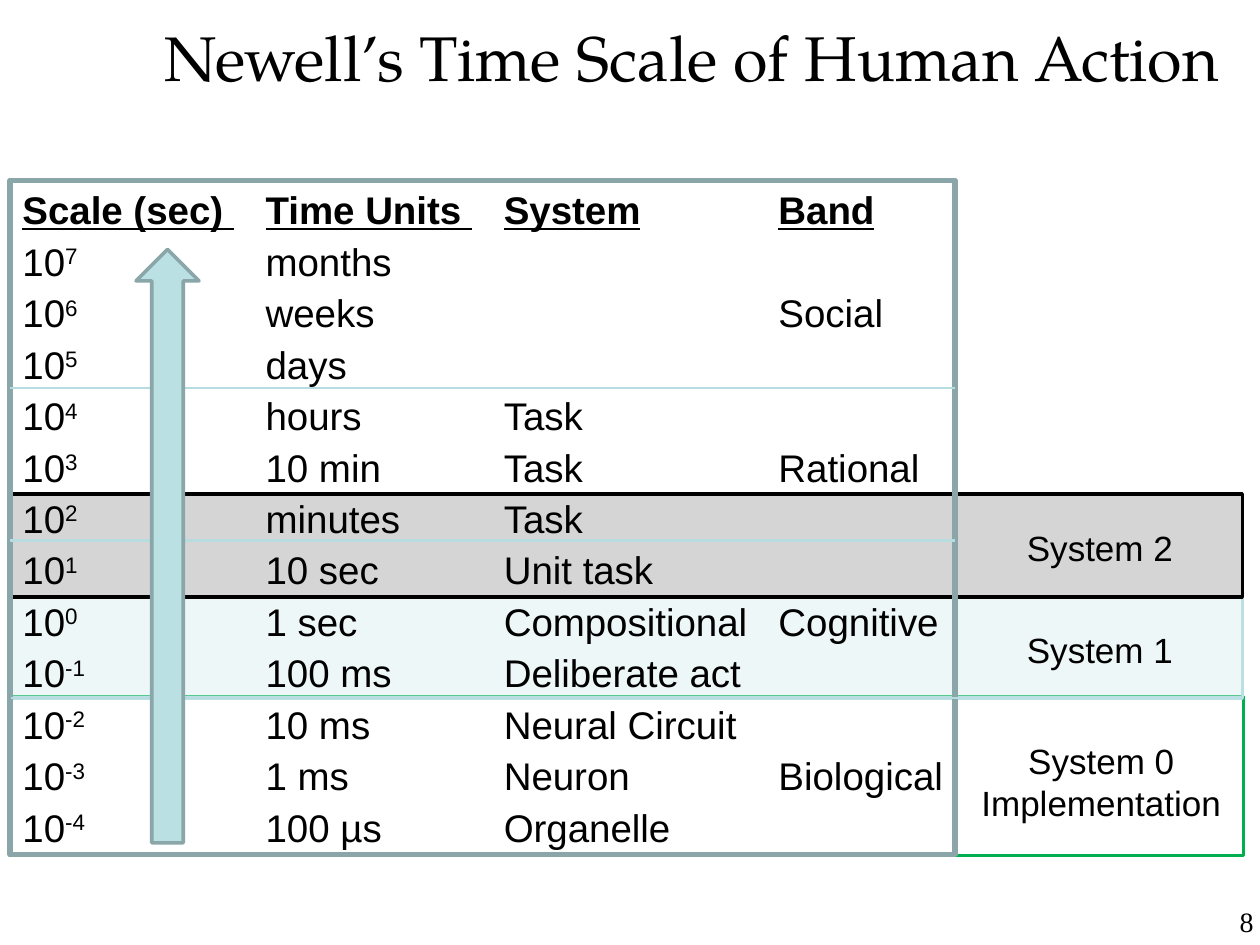
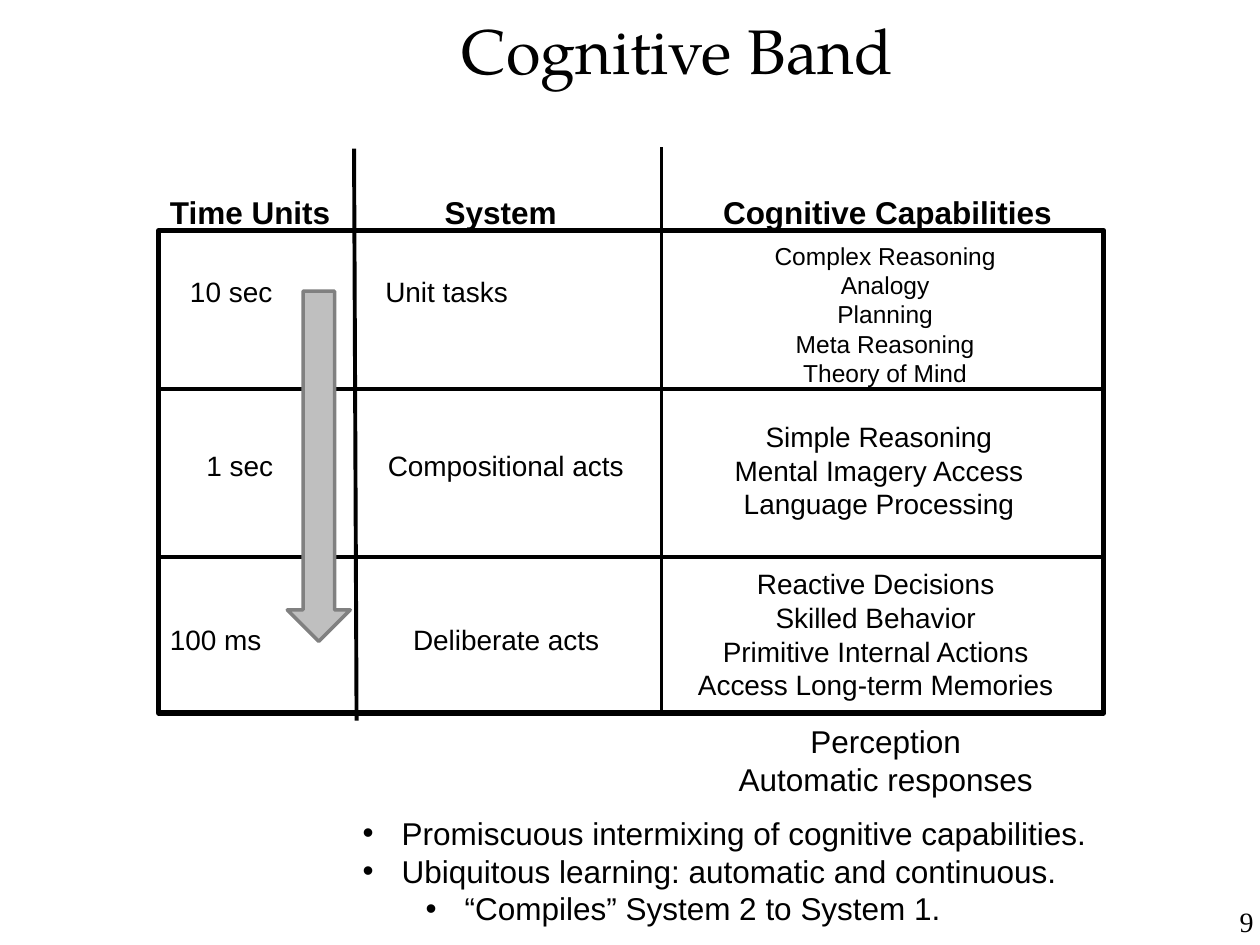
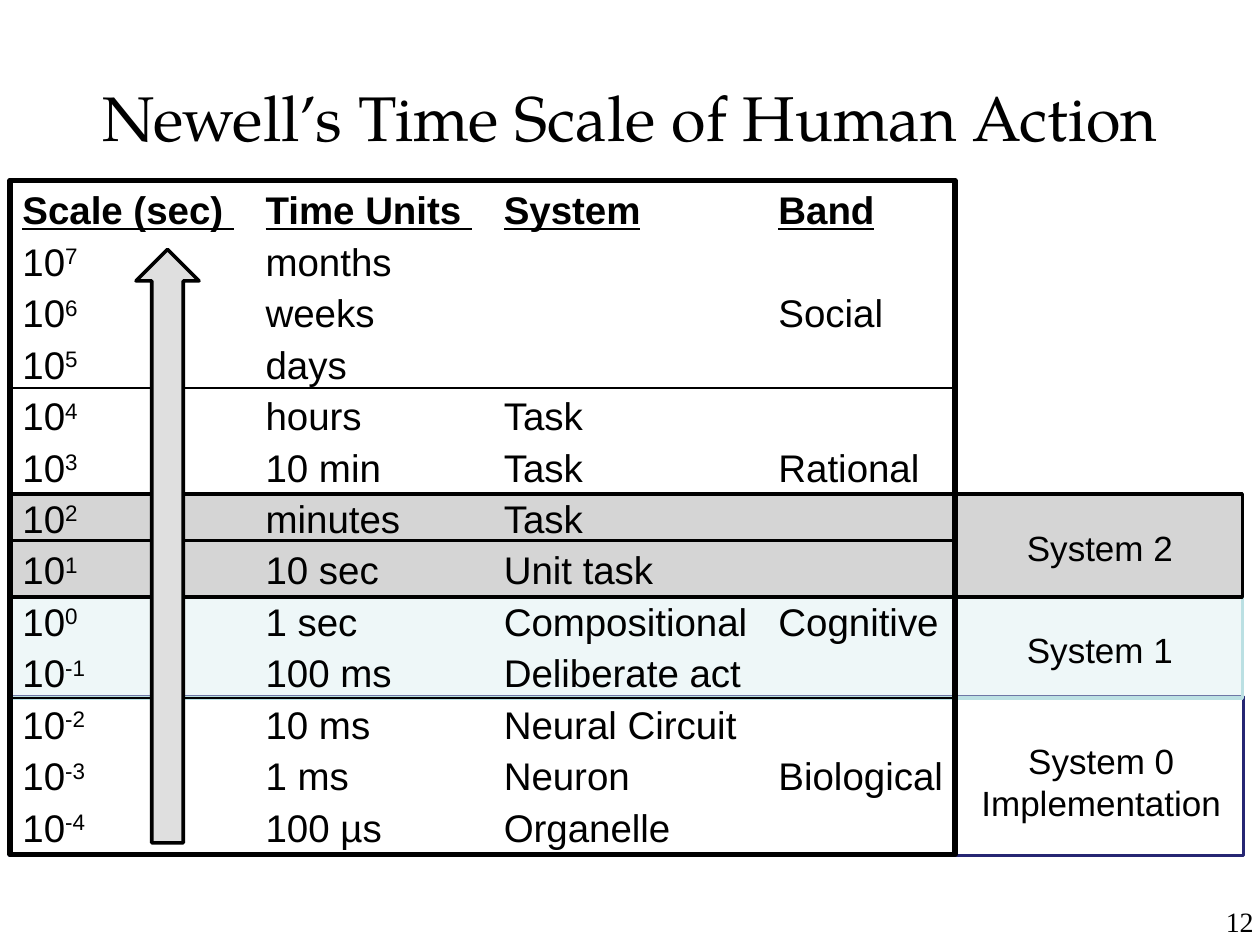
from dataclasses import dataclass
from typing import NamedTuple, Sequence

from lxml import etree
from pptx import Presentation
from pptx.dml.color import RGBColor
from pptx.enum.shapes import MSO_CONNECTOR, MSO_SHAPE
from pptx.enum.text import MSO_ANCHOR, PP_ALIGN
from pptx.oxml.ns import qn
from pptx.util import Inches, Length, Pt

RECTANGLE = MSO_SHAPE.RECTANGLE
UP_ARROW = MSO_SHAPE.UP_ARROW
STRAIGHT = MSO_CONNECTOR.STRAIGHT
LEFT, CENTER, RIGHT = PP_ALIGN.LEFT, PP_ALIGN.CENTER, PP_ALIGN.RIGHT
TOP, MIDDLE = MSO_ANCHOR.TOP, MSO_ANCHOR.MIDDLE

BLACK = RGBColor(0x00, 0x00, 0x00)
WHITE = RGBColor(0xFF, 0xFF, 0xFF)
GRAY = RGBColor(0x99, 0x99, 0x99)
SILVER = RGBColor(0xBF, 0xBF, 0xBF)
DARK_GRAY = RGBColor(0x80, 0x80, 0x80)
PALE_GRAY = RGBColor(0xDF, 0xDF, 0xDF)
AQUA = RGBColor(0xBB, 0xE0, 0xE3)
PALE_AQUA = RGBColor(0xD6, 0xEC, 0xEE)
RULE_AQUA = RGBColor(0xB6, 0xDC, 0xDF)
SLATE = RGBColor(0x8A, 0xA6, 0xA8)
GREEN = RGBColor(0x00, 0xB0, 0x50)
NAVY = RGBColor(0x26, 0x26, 0x73)

# The slide is a grid of 100 columns and 75 rows of equal size.
SLIDE_WIDTH, SLIDE_HEIGHT = Inches(10), Inches(7.5)
COLUMN, ROW = SLIDE_WIDTH / 100, SLIDE_HEIGHT / 75
BAND_OPACITY = 41


class Box(NamedTuple):
    """Left, top, width and height in grid columns and rows."""
    left: float
    top: float
    width: float
    height: float


class Rule(NamedTuple):
    """Start and end of a line in grid columns and rows."""
    x1: float
    y1: float
    x2: float
    y2: float


class TextStyle(NamedTuple):
    size: int
    font: str = "Arial"
    align: PP_ALIGN = LEFT
    bold: bool = False


class TimeRow(NamedTuple):
    exponent: str
    unit: str
    system: str = ""
    band: str = ""


class SystemBand(NamedTuple):
    box: Box
    fill: RGBColor
    label: str
    label_box: Box


class Cell(NamedTuple):
    box: Box
    lines: tuple[str, ...]
    size: int


class TabbedRow(NamedTuple):
    box: Box
    text: str
    tabs: tuple[float, ...]
    style: TextStyle


@dataclass(frozen=True)
class ScaleSlide:
    number: int
    title_box: Box
    frame: RGBColor
    rule: RGBColor
    arrow_fill: RGBColor
    arrow_line: RGBColor
    system_zero_line: RGBColor


TITLE = TextStyle(36, "TeX Gyre Pagella", CENTER)
PAGE_NUMBER = TextStyle(16, "Times New Roman", RIGHT)
SCALE_TEXT = TextStyle(22)
SCALE_HEADER = TextStyle(22, bold=True)
SYSTEM_LABEL = TextStyle(20, align=CENTER)
BAND_HEADER = TextStyle(18, bold=True)
BAND_TEXT = TextStyle(16)
BULLET_TEXT = TextStyle(18)

PAGE_NUMBER_BOX = Box(91.7, 71.3, 8.3, 3.7)

SCALE_SLIDES = (
    ScaleSlide(8, Box(9.9, -1.8, 90, 12.5), SLATE, RULE_AQUA, AQUA, SLATE, GREEN),
    ScaleSlide(12, Box(5, 3, 90, 12.5), BLACK, BLACK, PALE_GRAY, BLACK, NAVY),
)
SCALE_TITLE = "Newell’s Time Scale of Human Action"
SCALE_HEADINGS = ("Scale (sec) ", "Time Units ", "System", "Band")
SCALE_TABS = (19.3, 38.2, 60)
SCALE_ROWS = (
    TimeRow("7", "months"),
    TimeRow("6", "weeks", band="Social"),
    TimeRow("5", "days"),
    TimeRow("4", "hours", "Task"),
    TimeRow("3", "10 min", "Task", "Rational"),
    TimeRow("2", "minutes", "Task"),
    TimeRow("1", "10 sec", "Unit task"),
    TimeRow("0", "1 sec", "Compositional", "Cognitive"),
    TimeRow("-1", "100 ms", "Deliberate act"),
    TimeRow("-2", "10 ms", "Neural Circuit"),
    TimeRow("-3", "1 ms", "Neuron", "Biological"),
    TimeRow("-4", "100 µs", "Organelle"),
)
SCALE_TEXT_BOX = Box(0.8, 14.3, 75.1, 54.2)
SCALE_FRAME = Box(0.8, 14.3, 75, 53.5)
SCALE_RULES = (Rule(0.8, 30.8, 75.8, 30.8), Rule(0.8, 42.9, 75.8, 42.9),
               Rule(0.9, 55.4, 76, 55.4))
SCALE_ARROW = Box(10.8, 19.8, 5, 47.1)
SYSTEM_BANDS = (
    SystemBand(Box(0.8, 55.3, 97.9, 12.6), WHITE, "System 0\nImplementation",
               Box(76, 58.2, 22.8, 7.7)),
    SystemBand(Box(0.8, 47.4, 97.8, 8), PALE_AQUA, "System 1",
               Box(77.3, 49.4, 20, 4.4)),
    SystemBand(Box(0.8, 39.2, 97.8, 8.2), GRAY, "System 2",
               Box(77.3, 41.3, 20, 4.4)),
)

BAND_NUMBER = 9
BAND_TITLE_BOX = Box(12.5, 0.1, 82.5, 7.6)
BAND_FRAME = Box(12.6, 18.3, 75, 38.3)
BAND_RULES = (
    Rule(12.5, 30.9, 87.5, 30.9), Rule(12.6, 44.2, 87.6, 44.2),
    Rule(28.1, 11.8, 28.3, 57.2), Rule(52.5, 11.7, 52.5, 56.7),
)
BAND_ARROW = Box(22.8, 23.1, 5, 27.8)
BAND_ROWS = (
    TabbedRow(Box(12.5, 14.8, 75.8, 4), "Time Units\tSystem\tCognitive Capabilities",
              (21.8, 43.9), BAND_HEADER),
    TabbedRow(Box(14.1, 21.3, 28.3, 3.7), "10 sec\tUnit tasks", (15.5,), BAND_TEXT),
    TabbedRow(Box(13.6, 35.1, 37.3, 3.7), "\t1 sec\tCompositional acts",
              (1.8, 16.2), BAND_TEXT),
    TabbedRow(Box(12.5, 48.9, 36.5, 3.7), "100 ms\tDeliberate acts", (19.3,), BAND_TEXT),
)
CAPABILITIES = (
    Cell(Box(52.7, 18.6, 35.1, 12.8),
         ("Complex Reasoning", "Analogy", "Planning", "Meta Reasoning",
          "Theory of Mind"), 14),
    Cell(Box(52.2, 32.8, 35.1, 9.1),
         ("Simple Reasoning", "Mental Imagery Access", "Language Processing"), 16),
    Cell(Box(52, 44.5, 35, 11.8),
         ("Reactive Decisions", "Skilled Behavior", "Primitive Internal Actions",
          "Access Long-term Memories"), 16),
    Cell(Box(57.1, 56.8, 26.4, 7.1), ("Perception", "Automatic responses"), 18),
)
BULLET_BOX = Box(27.8, 64.1, 74.4, 10.1)
BULLETS = (
    (0, "Promiscuous intermixing of cognitive capabilities."),
    (0, "Ubiquitous learning: automatic and continuous."),
    (1, "“Compiles” System 2 to System 1."),
)
BULLET_HANG, BULLET_STEP = 3.1, 5


def columns(count: float) -> Length:
    return Length(round(count * COLUMN))


def rows(count: float) -> Length:
    return Length(round(count * ROW))


def place(box: Box) -> tuple[Length, Length, Length, Length]:
    return columns(box.left), rows(box.top), columns(box.width), rows(box.height)


def format_run(run, style: TextStyle) -> None:
    run.font.name = style.font
    run.font.size = Pt(style.size)
    run.font.bold = style.bold
    run.font.color.rgb = BLACK


def add_text(slide, box: Box, text: str, style: TextStyle, anchor=TOP):
    """Add a wrapped text box, one paragraph a line, and return its frame."""
    frame = slide.shapes.add_textbox(*place(box)).text_frame
    frame.word_wrap = True
    frame.vertical_anchor = anchor
    frame.text = text
    for paragraph in frame.paragraphs:
        paragraph.alignment = style.align
        for run in paragraph.runs:
            format_run(run, style)
    return frame


def set_tabs(paragraph, stops: Sequence[float]) -> None:
    tab_list = etree.SubElement(paragraph._p.get_or_add_pPr(), qn("a:tabLst"))
    for stop in stops:
        etree.SubElement(tab_list, qn("a:tab"), pos=str(columns(stop)), algn="l")


def set_bullet(paragraph, level: int) -> None:
    paragraph.level = level
    properties = paragraph._p.get_or_add_pPr()
    properties.set("marL", str(columns(BULLET_HANG + level * BULLET_STEP)))
    properties.set("indent", str(-columns(BULLET_HANG)))
    etree.SubElement(properties, qn("a:buFont"), typeface="Arial")
    etree.SubElement(properties, qn("a:buChar"), char="•")


def add_figure(shapes, kind: MSO_SHAPE, box: Box, line: RGBColor, width: float,
               fill: RGBColor | None = None, opacity: int = 100):
    """Add a preset shape; without a fill colour only its outline shows."""
    shape = shapes.add_shape(kind, *place(box))
    shape.shadow.inherit = False
    shape.line.color.rgb = line
    shape.line.width = Pt(width)
    if fill is None:
        shape.fill.background()
        return shape
    shape.fill.solid()
    shape.fill.fore_color.rgb = fill
    if opacity < 100:
        color = shape.fill._xPr.find(f".//{qn('a:srgbClr')}")
        etree.SubElement(color, qn("a:alpha"), val=str(opacity * 1000))
    return shape


def add_rule(shapes, rule: Rule, color: RGBColor, width: float) -> None:
    line = shapes.add_connector(STRAIGHT, columns(rule.x1), rows(rule.y1),
                                columns(rule.x2), rows(rule.y2))
    line.line.color.rgb = color
    line.line.width = Pt(width)
    etree.SubElement(line._element.spPr, qn("a:effectLst"))


def add_slide(presentation, number: int):
    """Add a blank slide with its page number."""
    slide = presentation.slides.add_slide(presentation.slide_layouts[6])
    frame = add_text(slide, PAGE_NUMBER_BOX, str(number), PAGE_NUMBER)
    frame.margin_left = frame.margin_right = columns(0.5)
    frame.margin_top = frame.margin_bottom = rows(0.5)
    return slide


def add_title(slide, box: Box, text: str) -> None:
    add_text(slide, box, text, TITLE, MIDDLE)


def add_run(paragraph, text: str, style: TextStyle):
    run = paragraph.add_run()
    run.text = text
    format_run(run, style)
    return run


def add_scale_text(slide) -> None:
    frame = add_text(slide, SCALE_TEXT_BOX, "", SCALE_TEXT)
    header = frame.paragraphs[0]
    for index, heading in enumerate(SCALE_HEADINGS):
        if index:
            add_run(header, "\t", SCALE_HEADER)
        add_run(header, heading, SCALE_HEADER).font.underline = True
    for row in SCALE_ROWS:
        paragraph = frame.add_paragraph()
        add_run(paragraph, "10", SCALE_TEXT)
        exponent = add_run(paragraph, row.exponent, SCALE_TEXT)
        exponent._r.get_or_add_rPr().set("baseline", "30000")
        cells = "\t".join(("", row.unit, row.system, row.band)).rstrip("\t")
        add_run(paragraph, cells, SCALE_TEXT)
    for paragraph in frame.paragraphs:
        paragraph.space_before = Pt(3)
        set_tabs(paragraph, SCALE_TABS)


def build_scale_slide(presentation, design: ScaleSlide) -> None:
    slide = add_slide(presentation, design.number)
    outlines = (design.system_zero_line, AQUA, BLACK)
    for band, outline in zip(SYSTEM_BANDS, outlines):
        add_figure(slide.shapes, RECTANGLE, band.box, outline, 2, band.fill, BAND_OPACITY)
    add_title(slide, design.title_box, SCALE_TITLE)
    add_scale_text(slide)
    grid = slide.shapes.add_group_shape().shapes
    add_figure(grid, RECTANGLE, SCALE_FRAME, design.frame, 3)
    for rule in SCALE_RULES:
        add_rule(grid, rule, design.rule, 1.5)
    for band in SYSTEM_BANDS:
        add_text(slide, band.label_box, band.label, SYSTEM_LABEL)
    add_figure(slide.shapes, UP_ARROW, SCALE_ARROW, design.arrow_line, 2, design.arrow_fill)


def build_band_slide(presentation) -> None:
    slide = add_slide(presentation, BAND_NUMBER)
    add_title(slide, BAND_TITLE_BOX, "Cognitive Band")
    for rule in BAND_RULES:
        add_rule(slide.shapes, rule, BLACK, 2.25)
    for cell in CAPABILITIES:
        add_text(slide, cell.box, "\n".join(cell.lines), TextStyle(cell.size, align=CENTER))
    for row in BAND_ROWS:
        frame = add_text(slide, row.box, row.text, row.style)
        set_tabs(frame.paragraphs[0], row.tabs)
    bullets = add_text(slide, BULLET_BOX, "\n".join(text for _, text in BULLETS), BULLET_TEXT)
    for paragraph, (level, _) in zip(bullets.paragraphs, BULLETS):
        set_bullet(paragraph, level)
    arrow = add_figure(slide.shapes, UP_ARROW, BAND_ARROW, DARK_GRAY, 2, SILVER)
    arrow.rotation = 180
    add_figure(slide.shapes, RECTANGLE, BAND_FRAME, BLACK, 3)


def main() -> None:
    presentation = Presentation()
    presentation.slide_width = SLIDE_WIDTH
    presentation.slide_height = SLIDE_HEIGHT
    first_scale, second_scale = SCALE_SLIDES
    build_scale_slide(presentation, first_scale)
    build_band_slide(presentation)
    build_scale_slide(presentation, second_scale)
    presentation.save("out.pptx")


if __name__ == "__main__":
    main()
